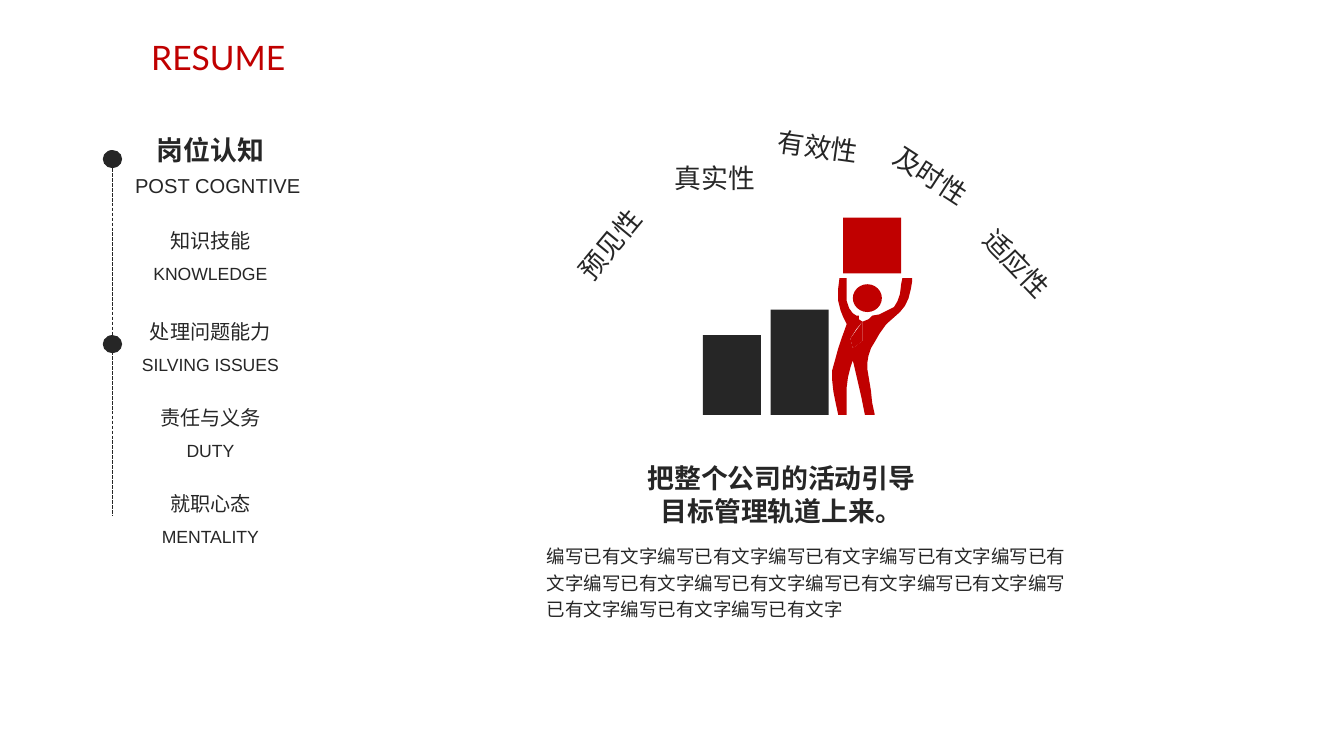
from dataclasses import dataclass

from lxml import etree
from pptx import Presentation
from pptx.dml.color import RGBColor
from pptx.enum.dml import MSO_LINE
from pptx.enum.shapes import MSO_CONNECTOR, MSO_SHAPE
from pptx.enum.text import MSO_ANCHOR, MSO_AUTO_SIZE, PP_ALIGN
from pptx.oxml.ns import qn
from pptx.util import Pt

PX = 9144  # EMU in one px, at 100 px to the inch
WHITE = RGBColor(0xFF, 0xFF, 0xFF)
DARK = RGBColor(0x26, 0x26, 0x26)
RED = RGBColor(0xC0, 0x00, 0x00)
ARIAL, LATO, NOTO = "Arial", "Lato", "Noto Sans CJK SC"
OVAL, RECTANGLE = MSO_SHAPE.OVAL, MSO_SHAPE.RECTANGLE
CENTER, LEFT = PP_ALIGN.CENTER, PP_ALIGN.LEFT
TOP, MIDDLE = MSO_ANCHOR.TOP, MSO_ANCHOR.MIDDLE
SQUARE_DOT = MSO_LINE.SQUARE_DOT
BOTTOM_SITE = 2


@dataclass(frozen=True)
class Label:
    text: str
    left: int
    top: int
    width: int
    height: int
    size: float
    font: str = ARIAL
    color: RGBColor = DARK
    bold: bool = False
    align: PP_ALIGN = CENTER
    anchor: MSO_ANCHOR = TOP
    wrap: bool = True
    grow: bool = True
    line_spacing: float = 1.0
    rotation: float = 0


@dataclass(frozen=True)
class Topic:
    name: str
    caption: str
    top: int


@dataclass(frozen=True)
class Quality:
    name: str
    left: int
    top: int
    rotation: float


@dataclass(frozen=True)
class Block:
    kind: MSO_SHAPE
    left: int
    top: int
    width: int
    height: int
    color: RGBColor


MENU_CENTER = 174
TOPIC_WIDTH, TOPIC_HEIGHT = 164, 38
CAPTION_WIDTH, CAPTION_HEIGHT, CAPTION_DROP = 196, 33, 30
TOPICS = [
    Topic("知识技能", "KNOWLEDGE", 180),
    Topic("处理问题能力", "SILVING ISSUES", 255),
    Topic("责任与义务", "DUTY", 326),
    Topic("就职心态", "MENTALITY", 397),
]
QUALITIES = [
    Quality("预见性", 461, 183, 309.5),
    Quality("真实性", 548, 129, 0),
    Quality("有效性", 633, 103, 7.9),
    Quality("及时性", 726, 127, 33),
    Quality("适应性", 797, 200, 46.3),
]
LABELS = [
    Label("RESUME", -43, 26, 447, 44, 20, LATO, RED),
    Label("岗位认知", 114, 105, 120, 38, 16, bold=True, anchor=MIDDLE, grow=False),
    Label("POST COGNTIVE", 64, 124, 232, 59, 12, anchor=MIDDLE, grow=False),
    Label("把整个公司的活动引导目标管理轨道上来。", 520, 377, 252, 64, 16, NOTO, bold=True),
    Label("编写已有文字" * 12, 442, 442, 457, 77, 11, NOTO, align=LEFT, line_spacing=1.2),
]
DOTS = [Block(OVAL, 85, top, 16, 15, DARK) for top in (124, 277)]
LINE_END = (93, 427)
BLOCKS = [
    Block(RECTANGLE, 697, 180, 48, 46, RED),
    Block(OVAL, 705, 235, 24, 23, RED),
    Block(RECTANGLE, 637, 256, 48, 87, DARK),
    Block(RECTANGLE, 581, 277, 48, 66, DARK),
]
TIE = [(713, 266), (713, 282), (705, 288), (703, 280)]
BODY = [
    # right arm, side and leg
    (746, 230), (754, 230), (754, 233), (753, 239), (751, 247), (748, 253),
    (744, 258), (735, 266), (732, 269), (727, 276), (723, 283), (720, 288),
    (718, 294), (717, 300), (717, 305), (718, 311), (720, 323), (721, 333),
    (723, 342), (723, 343), (715, 343),
    # between the legs
    (712, 328), (709, 315), (706, 302), (705, 298), (703, 304), (701, 312),
    (700, 320), (700, 343),
    # left leg, side and arm
    (693, 343), (691, 334), (689, 324), (688, 315), (688, 306), (690, 299),
    (693, 288), (696, 279), (700, 268), (697, 262), (695, 257), (693, 249),
    (693, 238), (694, 230), (700, 230), (700, 249), (702, 255), (705, 259),
    (708, 261), (710, 261), (710, 264), (713, 266),
    # opening for the tie
    (708, 272), (703, 280), (705, 288), (713, 282), (713, 266),
    # right shoulder and inner arm
    (718, 264), (721, 261), (727, 260), (733, 257), (739, 254), (742, 249),
    (744, 243), (745, 235),
]


def add_label(page, label: Label):
    box = page.shapes.add_textbox(
        label.left * PX, label.top * PX, label.width * PX, label.height * PX)
    box.rotation = label.rotation
    frame = box.text_frame
    frame.word_wrap = label.wrap
    frame.vertical_anchor = label.anchor
    frame.auto_size = MSO_AUTO_SIZE.SHAPE_TO_FIT_TEXT if label.grow else MSO_AUTO_SIZE.NONE
    para = frame.paragraphs[0]
    para.text = label.text
    para.alignment = label.align
    para.line_spacing = label.line_spacing
    font = para.font
    font.name, font.size, font.bold = label.font, Pt(label.size), label.bold
    font.color.rgb = label.color
    # Chinese glyphs take the East Asian typeface
    defaults = para._p.pPr.find(qn("a:defRPr"))
    etree.SubElement(defaults, qn("a:ea"), typeface=NOTO)


def paint(shape, color: RGBColor):
    shape.shadow.inherit = False
    shape.fill.solid()
    shape.fill.fore_color.rgb = color
    shape.line.fill.background()


def add_block(shapes, block: Block):
    shape = shapes.add_shape(
        block.kind, block.left * PX, block.top * PX, block.width * PX, block.height * PX)
    paint(shape, block.color)
    return shape


def add_outline(shapes, points: list[tuple[int, int]], color: RGBColor):
    builder = shapes.build_freeform(*points[0], scale=PX)
    builder.add_line_segments(points[1:], close=True)
    paint(builder.convert_to_shape(), color)


def add_timeline(page):
    dots = [add_block(page.shapes, dot) for dot in DOTS]
    end_x, end_y = (value * PX for value in LINE_END)
    line = page.shapes.add_connector(MSO_CONNECTOR.STRAIGHT, end_x, end_y, end_x, end_y)
    line.begin_connect(dots[0], BOTTOM_SITE)
    line.line.color.rgb = DARK
    line.line.width = Pt(0.75)
    line.line.dash_style = SQUARE_DOT
    etree.SubElement(line._element.spPr, qn("a:effectLst"))


def add_topic(page, topic: Topic):
    add_label(page, Label(
        topic.name, MENU_CENTER - TOPIC_WIDTH // 2, topic.top, TOPIC_WIDTH,
        TOPIC_HEIGHT, 12, anchor=MIDDLE, grow=False))
    add_label(page, Label(
        topic.caption, MENU_CENTER - CAPTION_WIDTH // 2, topic.top + CAPTION_DROP,
        CAPTION_WIDTH, CAPTION_HEIGHT, 10.5, anchor=MIDDLE, grow=False))


def main():
    deck = Presentation()
    deck.slide_width, deck.slide_height = 1111 * PX, 625 * PX
    page = deck.slides.add_slide(deck.slide_layouts[6])
    page.background.fill.solid()
    page.background.fill.fore_color.rgb = WHITE

    add_timeline(page)
    for topic in TOPICS:
        add_topic(page, topic)
    for quality in QUALITIES:
        add_label(page, Label(
            quality.name, quality.left, quality.top, 88, 37, 16, NOTO,
            align=LEFT, wrap=False, rotation=quality.rotation))
    for label in LABELS:
        add_label(page, label)

    figure = page.shapes.add_group_shape().shapes
    add_outline(figure, BODY, RED)
    add_outline(figure, TIE, RED)
    for block in BLOCKS:
        add_block(figure, block)
    deck.save("out.pptx")


if __name__ == "__main__":
    main()
